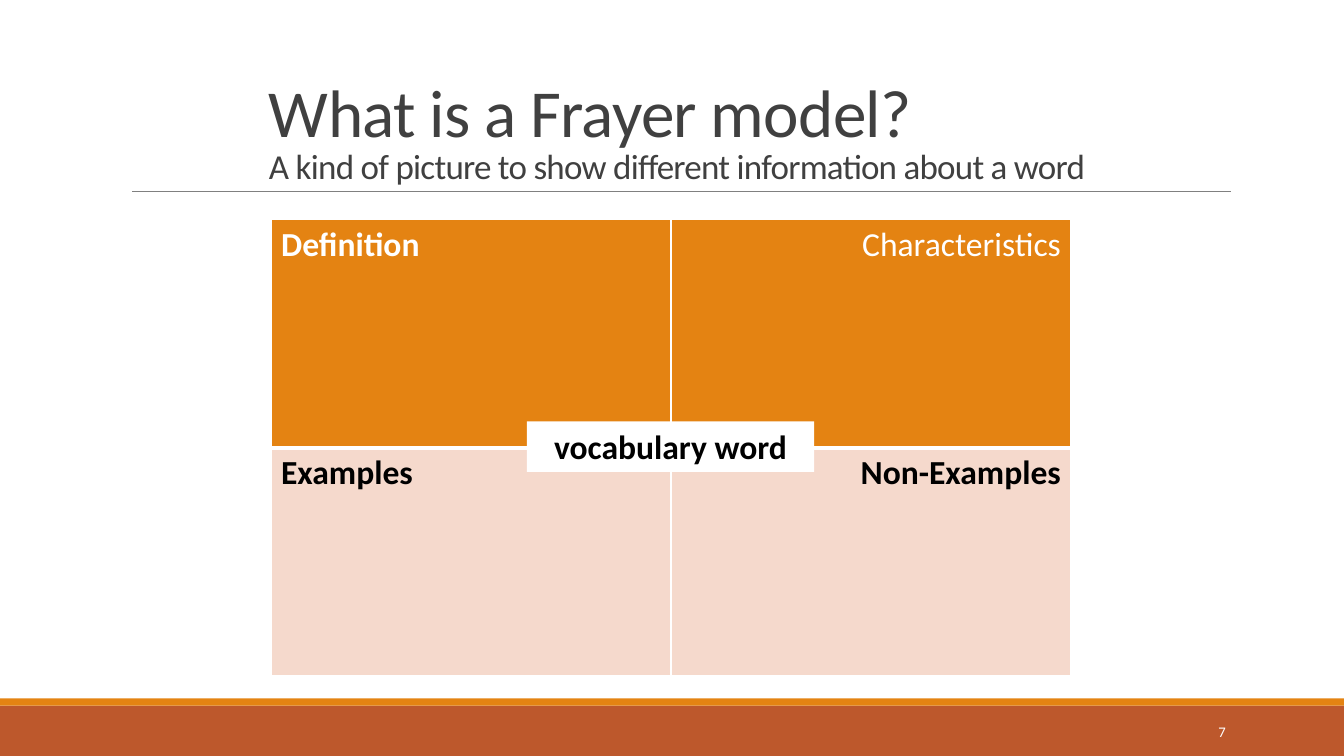
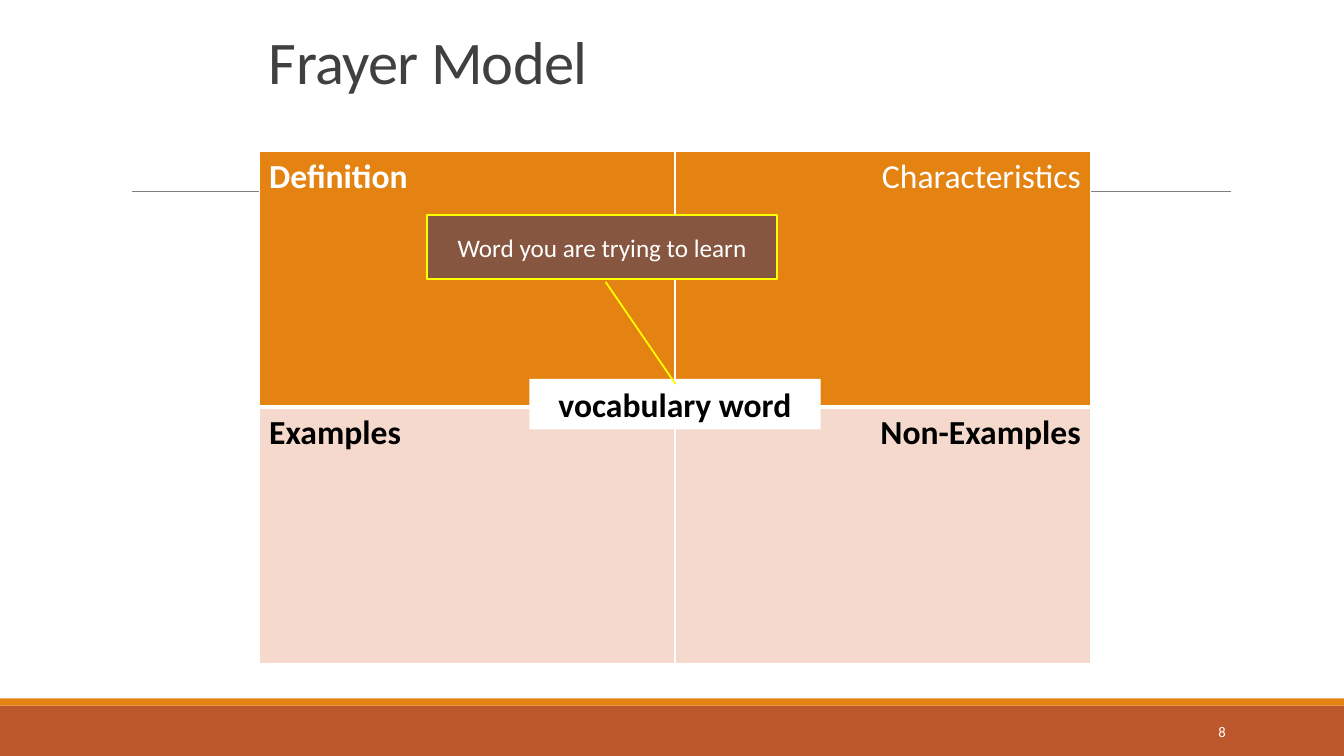
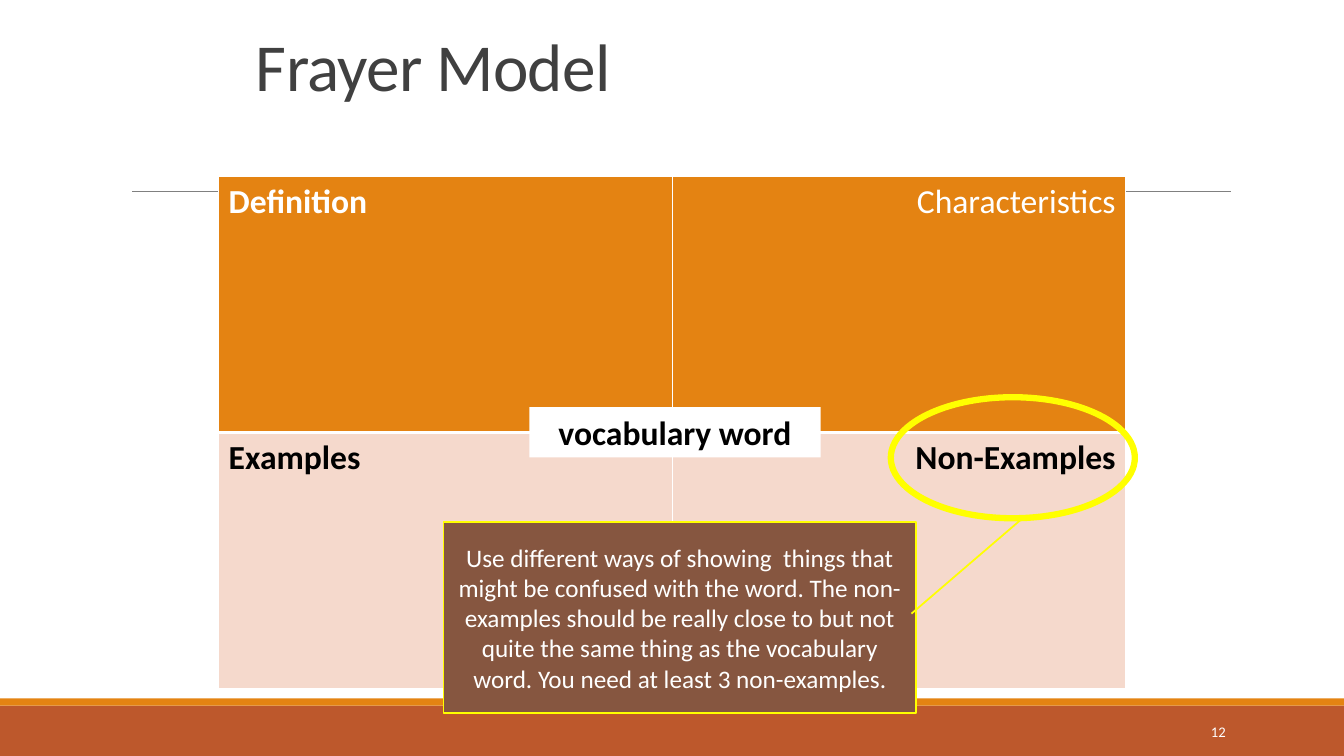
from lxml.etree import SubElement
from pptx import Presentation
from pptx.dml.color import RGBColor
from pptx.enum.shapes import MSO_CONNECTOR, MSO_SHAPE
from pptx.enum.text import MSO_ANCHOR, PP_ALIGN
from pptx.oxml.ns import qn
from pptx.util import Cm, Pt

FONT = "Calibri"
WHITE = "FFFFFF"
BLACK = "000000"
ORANGE = "E48312"
RUST = "BD582C"
PEACH = "F5D9CC"
BROWN = "865640"
YELLOW = "FFFF00"
TITLE_GREY = "404040"
RULE_GREY = "808080"
PAGE_WIDTH = 33.87
PAGE_HEIGHT = 19.05

QUADRANTS = [
    [("Definition", True), ("Characteristics", False)],
    [("Examples", True), ("Non-Examples", True)],
]
ROW_COLOURS = [(ORANGE, WHITE), (PEACH, BLACK)]


def colour(value):
    return RGBColor.from_string(value)


def place(left, top, width, height):
    return Cm(left), Cm(top), Cm(width), Cm(height)


def style(para, size, text_colour, bold=False, align=PP_ALIGN.LEFT):
    para.alignment = align
    para.font.name = FONT
    para.font.size = Pt(size)
    para.font.bold = bold
    para.font.color.rgb = colour(text_colour)


def add_box(page, kind, area, fill=None, line=None, line_width=1.25):
    box = page.shapes.add_shape(kind, *place(*area))
    box.shadow.inherit = False
    if fill:
        box.fill.solid()
        box.fill.fore_color.rgb = colour(fill)
    else:
        box.fill.background()
    if line:
        box.line.color.rgb = colour(line)
        box.line.width = Pt(line_width)
    else:
        box.line.fill.background()
    return box


def add_label(box, text, size, text_colour, bold=False, anchor=MSO_ANCHOR.MIDDLE):
    frame = box.text_frame
    frame.word_wrap = True
    frame.vertical_anchor = anchor
    para = frame.paragraphs[0]
    para.text = text
    style(para, size, text_colour, bold, PP_ALIGN.CENTER)


def add_rule(page):
    rule = page.shapes.add_connector(
        MSO_CONNECTOR.STRAIGHT, Cm(3.33), Cm(4.83), Cm(31.01), Cm(4.83)
    )
    rule.line.color.rgb = colour(RULE_GREY)
    rule.line.width = Pt(0.5)
    SubElement(rule._element.spPr, qn("a:effectLst"))


def add_number(page, number):
    box = page.shapes.add_textbox(*place(27.51, 17.93, 3.63, 1.02))
    box.text_frame.word_wrap = True
    box.text_frame.vertical_anchor = MSO_ANCHOR.MIDDLE
    para = box.text_frame.paragraphs[0]
    para.text = str(number)
    style(para, 10.5, WHITE, align=PP_ALIGN.RIGHT)


def add_title(page, area, size, title, subtitle=None):
    box = page.shapes.add_textbox(*place(*area))
    box.text_frame.word_wrap = True
    box.text_frame.vertical_anchor = MSO_ANCHOR.BOTTOM
    para = box.text_frame.paragraphs[0]
    para.line_spacing = 0.85
    style(para, size, TITLE_GREY)
    para.add_run().text = title
    if subtitle:
        para.add_line_break()
        span = para.add_run()
        span.text = subtitle
        span.font.size = Pt(25)
    for span in para.runs:
        span._r.get_or_add_rPr().set("spc", "-50")


def add_page(deck, number):
    page = deck.slides.add_slide(deck.slide_layouts[6])
    add_box(page, MSO_SHAPE.RECTANGLE, (0, 17.78, PAGE_WIDTH, 1.27), RUST)
    add_box(page, MSO_SHAPE.RECTANGLE, (0, 17.6, PAGE_WIDTH, 0.18), ORANGE)
    add_rule(page)
    add_number(page, number)
    return page


def set_borders(cell, bottom_width):
    properties = cell._tc.get_or_add_tcPr()
    for side, width in (("L", 1), ("R", 1), ("T", 1), ("B", bottom_width)):
        border = SubElement(properties, qn(f"a:ln{side}"), w=str(Pt(width)))
        fill = SubElement(border, qn("a:solidFill"))
        SubElement(fill, qn("a:srgbClr"), val=WHITE)


def add_frayer(page, left, top, column_width, row_height, word_area):
    frame = page.shapes.add_table(
        2, 2, *place(left, top, 2 * column_width, 2 * row_height)
    )
    table = frame.table
    table.first_row = False
    table.horz_banding = False
    for row, (fill, text_colour) in enumerate(ROW_COLOURS):
        table.rows[row].height = Cm(row_height)
        for column, (text, bold) in enumerate(QUADRANTS[row]):
            table.columns[column].width = Cm(column_width)
            cell = table.cell(row, column)
            set_borders(cell, 1 if row else 3)
            cell.fill.solid()
            cell.fill.fore_color.rgb = colour(fill)
            para = cell.text_frame.paragraphs[0]
            para.text = text
            align = PP_ALIGN.RIGHT if column else PP_ALIGN.LEFT
            style(para, 24, text_colour, bold, align)
    word = add_box(page, MSO_SHAPE.RECTANGLE, word_area, WHITE)
    add_label(word, "vocabulary word", 24, BLACK, True, MSO_ANCHOR.TOP)


def add_callout(page, area, pointer, text):
    box = add_box(page, MSO_SHAPE.LINE_CALLOUT_1, area, BROWN, YELLOW)
    for index, value in enumerate(pointer):
        box.adjustments[index] = value
    add_label(box, text, 18, WHITE)


def build_question(deck):
    page = add_page(deck, 7)
    add_title(
        page, (6.53, 0.79, 21.21, 4.04), 48, "What is a Frayer model?",
        "A kind of picture to show different information about a word",
    )
    add_frayer(page, 6.83, 5.54, 10.08, 5.74, (13.28, 10.62, 7.24, 1.27))


def build_word(deck):
    page = add_page(deck, 8)
    add_title(page, (6.53, 0.79, 20.96, 1.78), 43.2, "Frayer Model")
    add_frayer(page, 6.53, 3.81, 10.48, 6.45, (13.34, 9.55, 7.34, 1.27))
    add_callout(
        page, (10.77, 5.41, 8.81, 1.63), (1.04, 0.51, 2.62, 0.71),
        "Word you are trying to learn",
    )


def build_non_examples(deck):
    page = add_page(deck, 12)
    add_title(page, (6.2, 0.74, 21.59, 2.03), 48, "Frayer Model")
    add_frayer(page, 5.51, 4.45, 11.43, 6.45, (13.34, 10.26, 7.34, 1.27))
    add_callout(
        page, (11.18, 13.16, 11.91, 4.8), (0.48, 0.99, -0.01, 1.22),
        "Use different ways of showing  things that might be confused with "
        "the word. The non-examples should be really close to but not quite "
        "the same thing as the vocabulary word. You need at least 3 "
        "non-examples.",
    )
    add_box(
        page, MSO_SHAPE.OVAL, (22.45, 10.01, 6.15, 3.05),
        line=YELLOW, line_width=4.5,
    )


def main():
    deck = Presentation()
    deck.slide_width = Cm(PAGE_WIDTH)
    deck.slide_height = Cm(PAGE_HEIGHT)
    build_question(deck)
    build_word(deck)
    build_non_examples(deck)
    deck.save("out.pptx")


if __name__ == "__main__":
    main()
